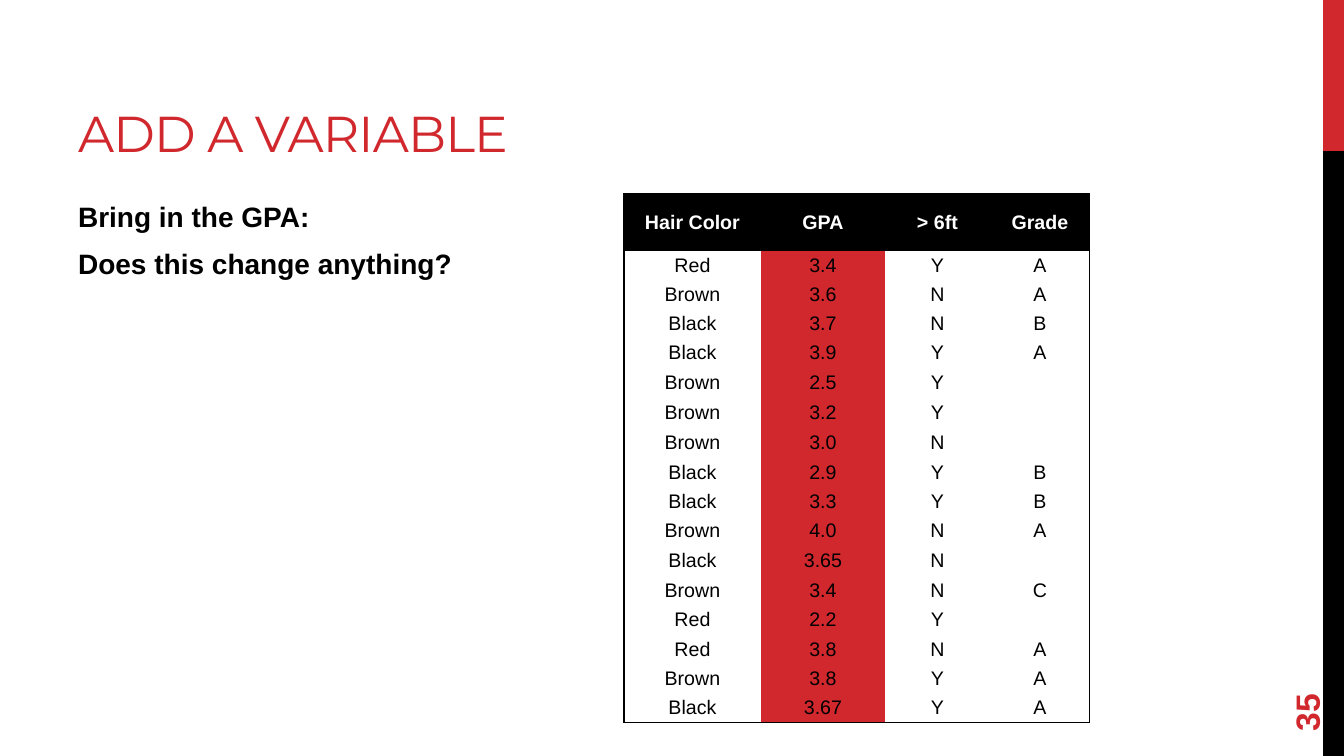
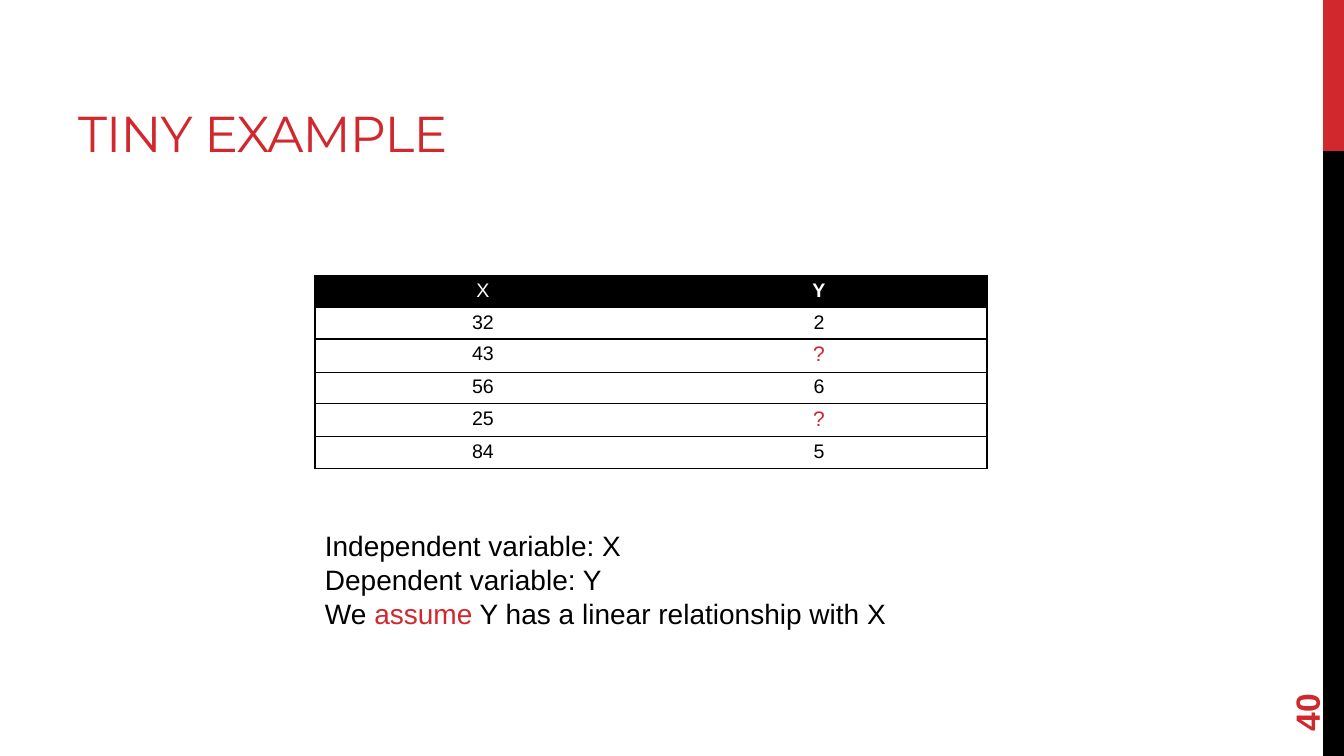
import lxml.etree
import pptx
import pptx.dml.color
import pptx.enum.shapes
import pptx.enum.text
import pptx.oxml.ns
import pptx.util

RED, BLACK, WHITE = "D1282E", "000000", "FFFFFF"
NO_GRID = "{2D5ABB26-0587-4C30-8999-92F81FD0307C}"
SCALE = 914400 / 100.8
rgb = pptx.dml.color.RGBColor.from_string
qn = pptx.oxml.ns.qn
align = pptx.enum.text.PP_ALIGN
anchor = pptx.enum.text.MSO_ANCHOR


def px(*sizes):
    return [pptx.util.Emu(round(size * SCALE)) for size in sizes]


def say(para, text, size, color=BLACK, bold=False, face="Arial"):
    run = para.add_run()
    run.text = text
    run.font.size = pptx.util.Pt(size)
    run.font.color.rgb = rgb(color)
    run.font.bold = bold
    run.font.name = face
    return run


# Slide content
hair = [
    ("Hair Color", "GPA", "> 6ft", "Grade"),
    ("Red", "3.4", "Y", "A"),
    ("Brown", "3.6", "N", "A"),
    ("Black", "3.7", "N", "B"),
    ("Black", "3.9", "Y", "A"),
    ("Brown", "2.5", "Y", ""),
    ("Brown", "3.2", "Y", ""),
    ("Brown", "3.0", "N", ""),
    ("Black", "2.9", "Y", "B"),
    ("Black", "3.3", "Y", "B"),
    ("Brown", "4.0", "N", "A"),
    ("Black", "3.65", "N", ""),
    ("Brown", "3.4", "N", "C"),
    ("Red", "2.2", "Y", ""),
    ("Red", "3.8", "N", "A"),
    ("Brown", "3.8", "Y", "A"),
    ("Black", "3.67", "Y", "A"),
]
pairs = [("X", "Y"), ("32", "2"), ("43", "?"), ("56", "6"), ("25", "?"), ("84", "5")]
pages = [
    dict(title="ADD A VARIABLE", number="35", layout=1, rows=hair,
         place=(624, 194, 466, 523), cols=(137, 124, 105, 100),
         heights=[57] + [466 / 16] * 16,
         inset=(0, 0), middle=anchor.MIDDLE, lines=False, mark="GPA", plain=""),
    dict(title="TINY EXAMPLE", number="40", layout=5, rows=pairs,
         place=(315, 276, 672, 188), cols=(336, 336),
         heights=(31, 31, 32, 31, 32, 31),
         inset=(7, 4), middle=anchor.TOP, lines=True, mark="", plain="X"),
]

deck = pptx.Presentation()
deck.slide_width, deck.slide_height = px(1344, 756)
slides = []

for page in pages:
    slide = deck.slides.add_slide(deck.slide_layouts[page["layout"]])
    slides.append(slide)

    # Side bands, kept on the master
    if len(slides) == 1:
        for top, high, color in ((0, 151, RED), (151, 605, BLACK)):
            band = slide.shapes.add_shape(
                pptx.enum.shapes.MSO_SHAPE.RECTANGLE, *px(1323, top, 21, high))
            band.shadow.inherit = False
            band.fill.solid()
            band.fill.fore_color.rgb = rgb(color)
            band.line.fill.background()
            band.element.nvSpPr.cNvPr.set("id", str(100 + top))
            deck.slide_master.element.cSld.spTree.append(band.element)

    # Title
    title = slide.shapes.title
    title.left, title.top, title.width, title.height = px(68, 17, 851, 151)
    frame = title.text_frame
    frame.auto_size = pptx.enum.text.MSO_AUTO_SIZE.NONE
    frame.vertical_anchor = anchor.BOTTOM
    frame.paragraphs[0].alignment = align.LEFT
    run = say(frame.paragraphs[0], page["title"], 36, RED, face="Montserrat")
    run.font.color.rgb = rgb(RED)
    run.font._element.set("spc", "-60")

    # Page number
    box = slide.shapes.add_textbox(*px(1234, 642, 145, 53))
    box.rotation = 270
    box.text_frame.word_wrap = True
    box.text_frame.vertical_anchor = anchor.MIDDLE
    say(box.text_frame.paragraphs[0], page["number"], 24, RED, True)

    # Table
    rows, cols = page["rows"], page["cols"]
    holder = slide.shapes.add_table(len(rows), len(cols), *px(*page["place"]))
    next(holder.element.iter(qn("a:tableStyleId"))).text = NO_GRID
    table = holder.table
    table.horz_banding = False
    for col, width in zip(table.columns, px(*cols)):
        col.width = width
    for row, height in zip(table.rows, px(*page["heights"])):
        row.height = height
    side, edge = px(*page["inset"])
    for r, row in enumerate(rows):
        for c, text in enumerate(row):
            cell = table.cell(r, c)
            cell.margin_left = cell.margin_right = side
            cell.margin_top = cell.margin_bottom = edge
            cell.vertical_anchor = page["middle"]

            # Borders come before the fill
            borders = {
                "a:lnL": c == 0,
                "a:lnR": c == len(cols) - 1,
                "a:lnT": r == 0 or page["lines"],
                "a:lnB": r == len(rows) - 1 or page["lines"],
            }
            props = cell._tc.get_or_add_tcPr()
            for tag, shown in borders.items():
                if shown:
                    line = lxml.etree.SubElement(props, qn(tag), w="12700")
                    fill = lxml.etree.SubElement(line, qn("a:solidFill"))
                    lxml.etree.SubElement(fill, qn("a:srgbClr"), val=BLACK)

            head = r == 0
            marked = rows[0][c] == page["mark"]
            cell.fill.solid()
            cell.fill.fore_color.rgb = rgb(BLACK if head else RED if marked else WHITE)
            para = cell.text_frame.paragraphs[0]
            para.alignment = align.CENTER
            if text == "?":
                say(para, text, 15, RED)
            else:
                say(para, text, 14, WHITE if head else BLACK,
                    head and text != page["plain"])

# Questions beside the first table
body = slides[0].placeholders[1]
body.left, body.top, body.width, body.height = px(68, 194, 1120, 482)
frame = body.text_frame
frame.auto_size = pptx.enum.text.MSO_AUTO_SIZE.NONE
for i, text in enumerate(("Bring in the GPA:", "Does this change anything?")):
    para = frame.add_paragraph() if i else frame.paragraphs[0]
    props = para._p.get_or_add_pPr()
    props.set("marL", "0")
    props.set("indent", "0")
    lxml.etree.SubElement(props, qn("a:buNone"))
    para.space_before = pptx.util.Pt(4 if i else 0)
    para.space_after = pptx.util.Pt(6)
    say(para, text, 20, bold=True)

# Notes below the second table
notes = [
    [("Independent variable: X", BLACK)],
    [("Dependent variable: Y", BLACK)],
    [("We ", BLACK), ("assume", RED), (" Y has a linear relationship with X", BLACK)],
]
box = slides[1].shapes.add_textbox(*px(315, 524, 674, 112))
frame = box.text_frame
frame.word_wrap = True
for i, parts in enumerate(notes):
    para = frame.add_paragraph() if i else frame.paragraphs[0]
    for text, color in parts:
        say(para, text, 20, color)

deck.save("out.pptx")
